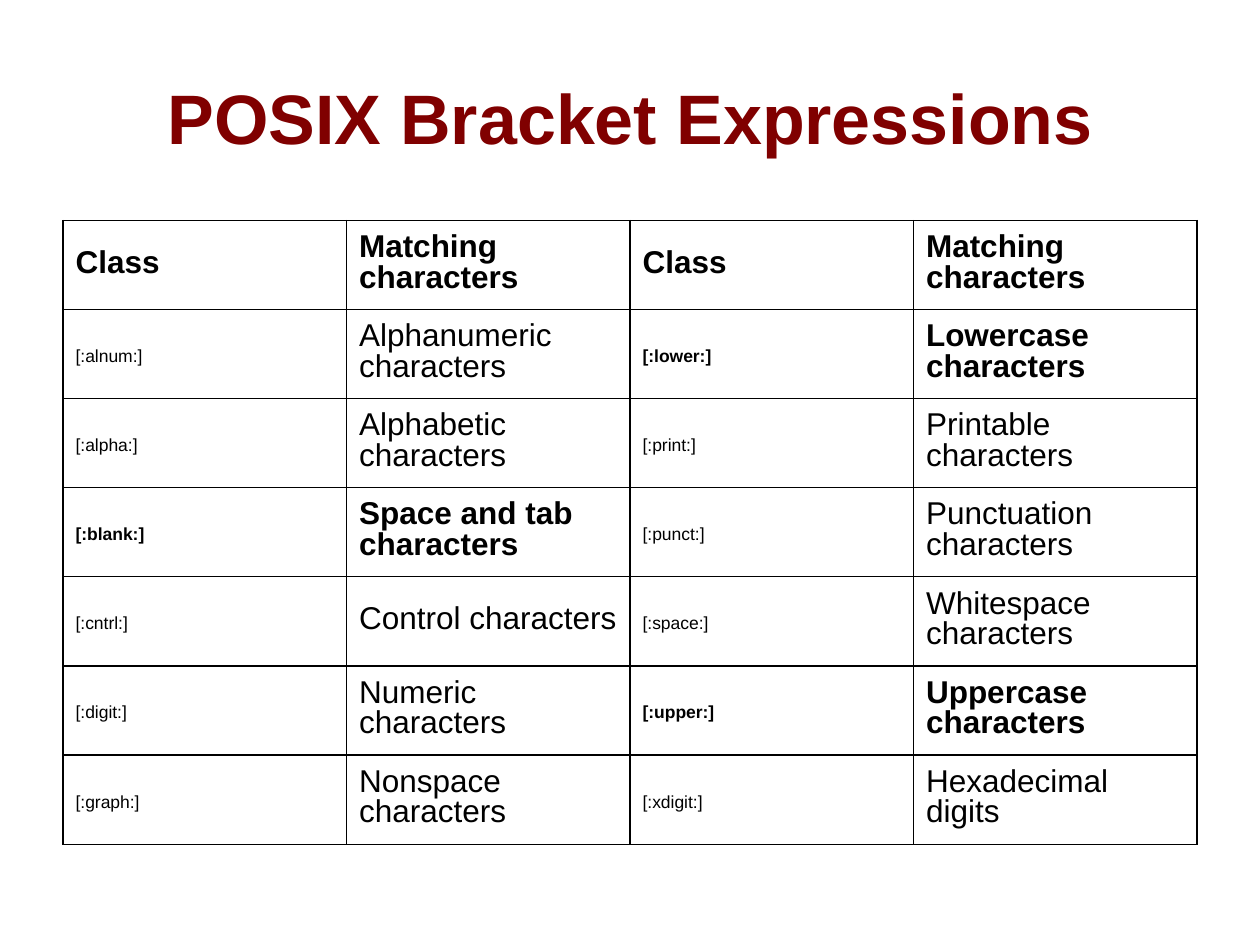
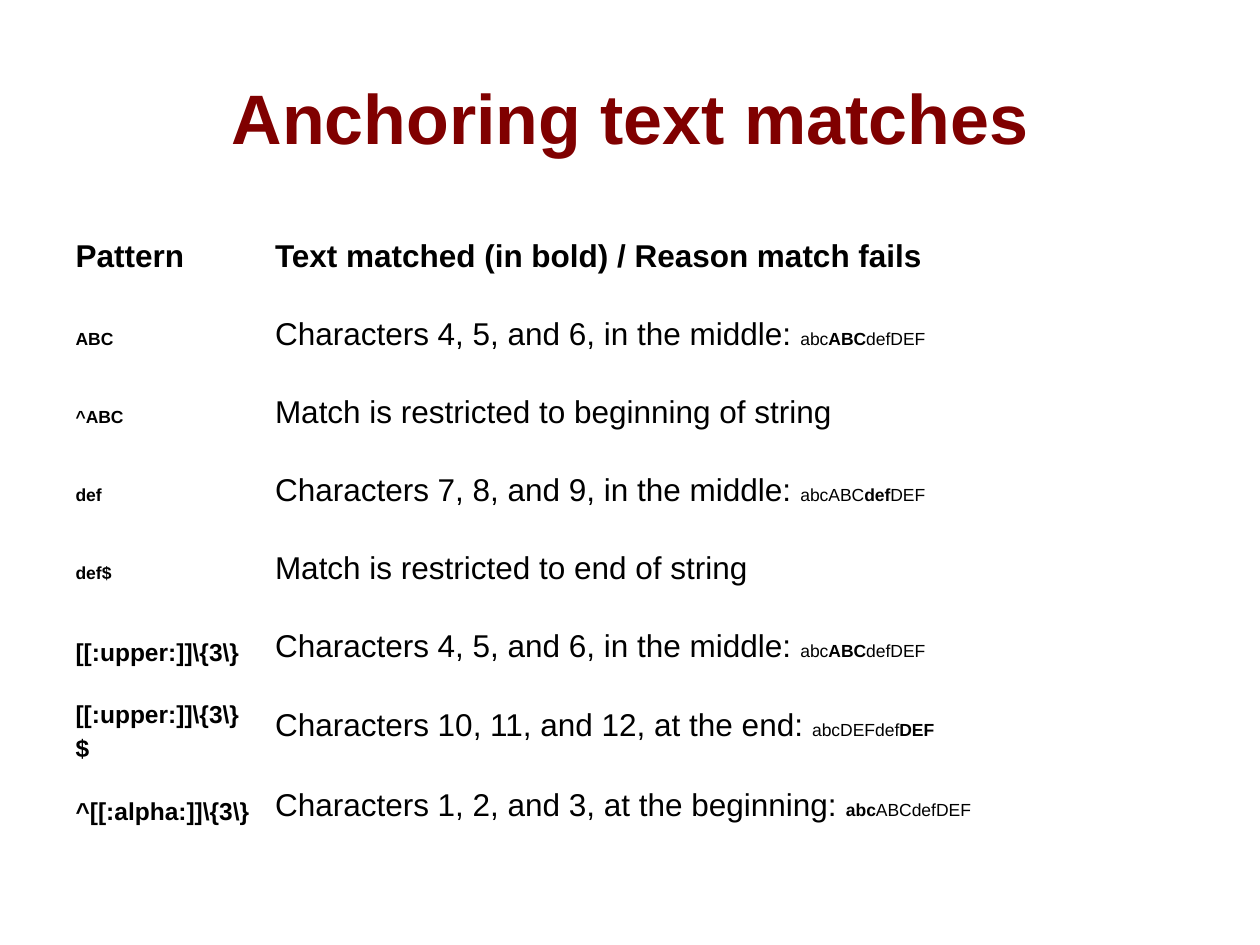
import dataclasses

import lxml.etree
import pptx
import pptx.dml.color
import pptx.enum.text
import pptx.oxml.ns
import pptx.util

Pt = pptx.util.Pt
MIDDLE = pptx.enum.text.MSO_ANCHOR.MIDDLE


@dataclasses.dataclass(frozen=True)
class Theme:
    """Colours, font and type sizes shared by the slides."""
    font: str = "Arial"
    title_color: str = "800000"
    ink: str = "000000"
    title_size: int = 40
    text_size: int = 18
    pattern_size: int = 14
    code_size: int = 10
    rule_width: float = 0.75


THEME = Theme()
TITLE_BOX = (36, 21.6, 648, 90)
CLASS_BOX = (36, 126, 648, 356.4)
ANCHOR_BOX = (36, 126, 642, 356.4)


def style_run(r, size, color, bold):
    """Apply the theme font to one run."""
    r.font.name = THEME.font
    r.font.size = Pt(size)
    r.font.bold = bold
    r.font.color.rgb = pptx.dml.color.RGBColor.from_string(color)


def add_title(s, text, box):
    """Place the title placeholder in the box."""
    sp = s.shapes.title
    sp.left, sp.top, sp.width, sp.height = map(Pt, box)
    tf = sp.text_frame
    tf.text = text
    tf.word_wrap = True
    tf.vertical_anchor = MIDDLE
    p = tf.paragraphs[0]
    p.alignment = pptx.enum.text.PP_ALIGN.CENTER
    style_run(p.runs[0], THEME.title_size, THEME.title_color, True)


def set_borders(cell, color):
    """Rule all four sides of a cell, or hide them when color is None."""
    tc_pr = cell._tc.get_or_add_tcPr()
    qn = pptx.oxml.ns.qn
    for i, side in enumerate(("a:lnL", "a:lnR", "a:lnT", "a:lnB")):
        ln = lxml.etree.Element(qn(side), w=str(int(Pt(THEME.rule_width))))
        if color:
            fill = lxml.etree.SubElement(ln, qn("a:solidFill"))
            lxml.etree.SubElement(fill, qn("a:srgbClr"), val=color)
        else:
            lxml.etree.SubElement(ln, qn("a:noFill"))
        tc_pr.insert(i, ln)


def fill_cell(cell, parts, border):
    """Write (text, size) parts; asterisks enclose bold text."""
    is_code = parts[0][1] < THEME.text_size
    cell.vertical_anchor = MIDDLE
    cell.margin_left = cell.margin_right = Pt(7.2)
    cell.margin_top = Pt(3.6 if is_code else 2.2)
    cell.margin_bottom = Pt(3.6)
    cell.fill.background()
    set_borders(cell, border)
    p = cell.text_frame.paragraphs[0]
    p.line_spacing = 1.25 if is_code else 0.87
    for marked, size in parts:
        for i, text in enumerate(marked.split("*")):
            if text:
                r = p.add_run()
                r.text = text
                style_run(r, size, THEME.ink, i % 2 == 1)


def add_grid(s, rows, shares, box, border=None):
    """Add a table with equal rows and columns sized by their shares."""
    left, top, width, height = box
    table = s.shapes.add_table(len(rows), len(shares), *map(Pt, box)).table
    table.first_row = table.horz_banding = False
    for column, share in zip(table.columns, shares):
        column.width = Pt(width * share / sum(shares))
    for row, cells in zip(table.rows, rows):
        row.height = Pt(height / len(rows))
        for cell, parts in zip(row.cells, cells):
            fill_cell(cell, parts, border)


def text(marked):
    """A part in the table's text size."""
    return marked, THEME.text_size


def code(marked):
    """A part in the small code size."""
    return marked, THEME.code_size


def pattern(marked):
    """A part in the size of the long patterns."""
    return marked, THEME.pattern_size


def class_slide(s):
    """Slide of character classes, two pairs of columns."""
    add_title(s, "POSIX Bracket Expressions", TITLE_BOX)
    classes = [
        ("[:alnum:]", "Alphanumeric characters", "*[:lower:]*", "*Lowercase characters*"),
        ("[:alpha:]", "Alphabetic characters", "[:print:]", "Printable characters"),
        ("*[:blank:]*", "*Space and tab characters*", "[:punct:]", "Punctuation characters"),
        ("[:cntrl:]", "Control characters", "[:space:]", "Whitespace characters"),
        ("[:digit:]", "Numeric characters", "*[:upper:]*", "*Uppercase characters*"),
        ("[:graph:]", "Nonspace characters", "[:xdigit:]", "Hexadecimal digits"),
    ]
    rows = [[[text("*Class*")], [text("*Matching characters*")]] * 2]
    rows += [[[code(a)], [text(b)], [code(c)], [text(d)]] for a, b, c, d in classes]
    add_grid(s, rows, (1, 1, 1, 1), CLASS_BOX, THEME.ink)


def anchor_slide(s):
    """Slide of patterns and what each one matches."""
    add_title(s, "Anchoring text matches", TITLE_BOX)
    middle = text("Characters 4, 5, and 6, in the middle: ")
    rows = [
        [[text("*Pattern*")], [text("*Text matched (in bold) / Reason match fails*")]],
        [[code("*ABC*")], [middle, code("abc*ABC*defDEF")]],
        [[code("*^ABC*")], [text("Match is restricted to beginning of string")]],
        [[code("*def*")],
         [text("Characters 7, 8, and 9, in the middle: "), code("abcABC*def*DEF")]],
        [[code("*def$*")], [text("Match is restricted to end of string")]],
        [[pattern(r"*[[:upper:]]\{3\}*")], [middle, code("abc*ABC*defDEF")]],
        [[pattern(r"*[[:upper:]]\{3\}$*")],
         [text("Characters 10, 11, and 12, at the end: "), code("abcDEFdef*DEF*")]],
        [[pattern(r"*^[[:alpha:]]\{3\}*")],
         [text("Characters 1, 2, and 3, at the beginning: "), code("*abc*ABCdefDEF")]],
    ]
    add_grid(s, rows, (114, 528), ANCHOR_BOX)


prs = pptx.Presentation()
prs.slide_width, prs.slide_height = Pt(720), Pt(540)
title_only = prs.slide_layouts[5]
for build in (class_slide, anchor_slide):
    build(prs.slides.add_slide(title_only))
prs.save("out.pptx")
